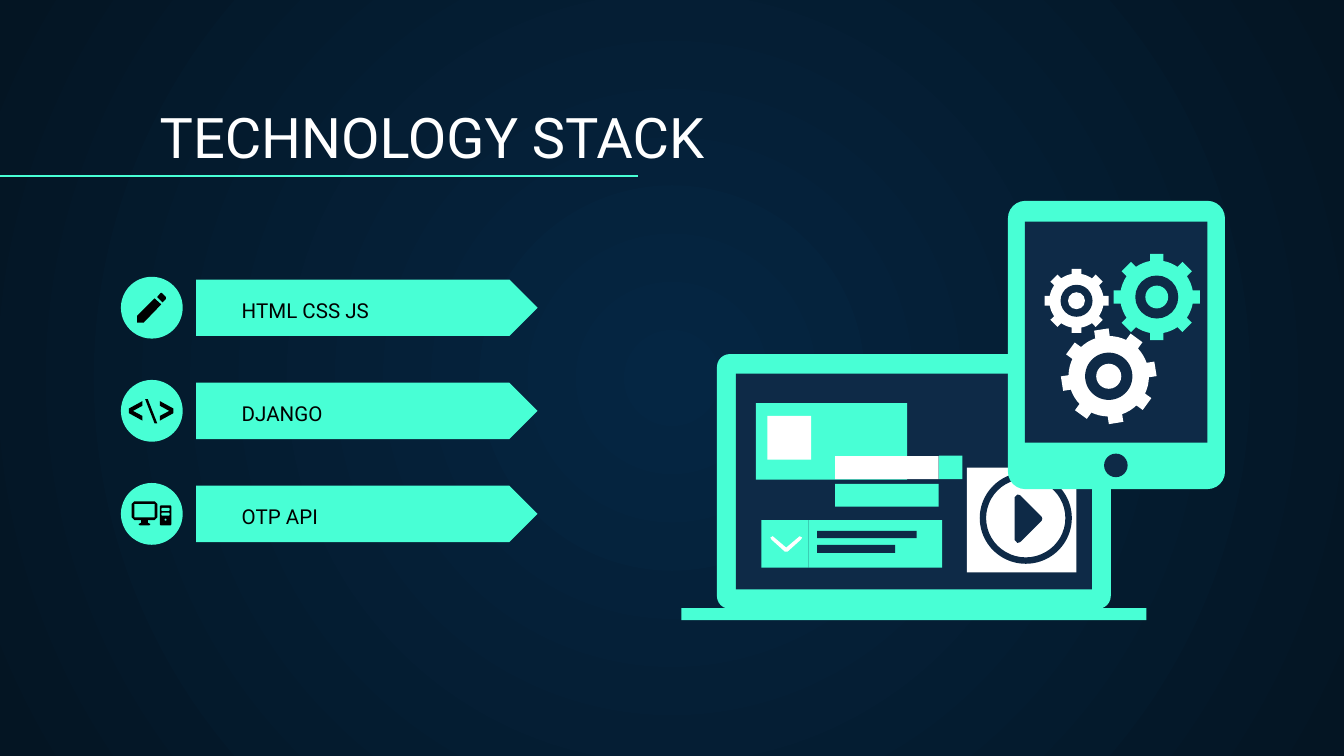
from dataclasses import dataclass
from math import cos, hypot, pi, radians, sin

from lxml import etree
from pptx import Presentation
from pptx.dml.color import RGBColor
from pptx.enum.shapes import MSO_CONNECTOR, MSO_SHAPE
from pptx.enum.text import MSO_ANCHOR
from pptx.oxml.ns import qn
from pptx.util import Inches, Pt

RECTANGLE = MSO_SHAPE.RECTANGLE
ROUNDED = MSO_SHAPE.ROUNDED_RECTANGLE
ELLIPSE = MSO_SHAPE.OVAL
RING = MSO_SHAPE.DONUT
ARROW_BAR = MSO_SHAPE.PENTAGON
STRAIGHT = MSO_CONNECTOR.STRAIGHT
BOTTOM = MSO_ANCHOR.BOTTOM


@dataclass(frozen=True)
class Theme:
    mint: RGBColor = RGBColor.from_string("48FFD5")
    navy: RGBColor = RGBColor.from_string("0E2A47")
    white: RGBColor = RGBColor.from_string("FFFFFF")
    black: RGBColor = RGBColor.from_string("000000")
    glow: RGBColor = RGBColor.from_string("052643")
    night: RGBColor = RGBColor.from_string("041523")
    font: str = "Roboto"
    title_size: Pt = Pt(30)
    label_size: Pt = Pt(11)
    rule: Pt = Pt(0.75)


theme = Theme()
deck = Presentation()
deck.slide_width, deck.slide_height = Inches(10), Inches(5.625)
page = deck.slides.add_slide(deck.slide_layouts[6])

# The page is a grid of 100 columns by 56.25 rows, with square cells.
COLUMN = deck.slide_width / 100
ROW = deck.slide_height / 56.25


def add_preset(kind, left, top, width, height, color, adjustment=None):
    shape = page.shapes.add_shape(kind, round(left * COLUMN), round(top * ROW),
                                  round(width * COLUMN), round(height * ROW))
    shape.shadow.inherit = False
    shape.fill.solid()
    shape.fill.fore_color.rgb = color
    shape.line.fill.background()
    if adjustment is not None:
        shape.adjustments[0] = adjustment
    return shape


def add_outline(contours, color):
    """Draw closed contours as one shape; a contour inside another is a hole."""
    scaled = [[(x * COLUMN, y * ROW) for x, y in contour] for contour in contours]
    builder = page.shapes.build_freeform(*scaled[0][0])
    for contour in scaled:
        builder.move_to(*contour[0])
        builder.add_line_segments(contour[1:], close=True)
    shape = builder.convert_to_shape()
    shape.shadow.inherit = False
    shape.fill.solid()
    shape.fill.fore_color.rgb = color
    shape.line.fill.background()


# Background glow
background = page.background.fill
background.gradient()
for stop, color in zip(background.gradient_stops, (theme.glow, theme.night)):
    stop.color.rgb = color
gradient = page._element.find(".//" + qn("a:gradFill"))
gradient.remove(gradient.find(qn("a:lin")))
glow_path = etree.SubElement(gradient, qn("a:path"), path="circle")
etree.SubElement(glow_path, qn("a:fillToRect"), l="50000", t="50000", r="50000", b="50000")

# Arrow bars and icon discs
FIRST_ROW, ROW_STEP = 20.6, 7.67
labels = ["HTML CSS JS", "DJANGO", "OTP API"]
for index in range(len(labels)):
    top = FIRST_ROW + index * ROW_STEP
    add_preset(ARROW_BAR, 14.6, top + 0.2, 25.4, 4.2, theme.mint, 0.5)
    add_preset(ELLIPSE, 9, top, 4.6, 4.6, theme.mint)

# Title and labels
texts = [("TECHNOLOGY STACK", 10.9, 7, 85.7, 6.6, theme.title_size, theme.white)]
texts += [(label, 17, FIRST_ROW + 2.2 + index * ROW_STEP, 22.7, 2.1,
           theme.label_size, theme.black) for index, label in enumerate(labels)]
for text, left, top, width, height, size, color in texts:
    box = page.shapes.add_textbox(round(left * COLUMN), round(top * ROW),
                                  round(width * COLUMN), round(height * ROW))
    frame = box.text_frame
    frame.word_wrap = True
    frame.vertical_anchor = BOTTOM
    frame.margin_left = frame.margin_right = Inches(0.1)
    frame.margin_top = frame.margin_bottom = Inches(0.1)
    span = frame.paragraphs[0].add_run()
    span.text = text
    span.font.name, span.font.size = theme.font, size
    span.font.color.rgb = color

title_rule = page.shapes.add_connector(STRAIGHT, 0, round(13.1 * ROW),
                                       round(47.5 * COLUMN), round(13.1 * ROW))
title_rule.line.color.rgb = theme.mint
title_rule.line.width = theme.rule
etree.SubElement(title_rule._element.spPr, qn("a:effectLst"))

# Icons: pencil, code, computer
pencil_tip = [(11.95, 21.8), (11.7, 22.1), (12.1, 22.5), (12.35, 22.25), (12.35, 22.1), (12.05, 21.8)]
pencil_body = [(11.5, 22.2), (10.2, 23.5), (10.2, 24), (10.7, 24), (12, 22.65)]
add_outline([pencil_tip, pencil_body], theme.black)

left_bracket = [(10.6, 31.3), (9.6, 30.75), (9.6, 30.4), (10.6, 29.85),
                (10.6, 30.2), (9.9, 30.58), (10.6, 30.95)]
right_bracket = [(22.5 - x, y) for x, y in left_bracket]
backslash = [(11.5, 31.5), (10.8, 29.7), (11, 29.7), (11.7, 31.5)]
for stroke in (left_bracket, backslash, right_bracket):
    add_outline([stroke], theme.black)

monitor = [(10, 37.3), (11.5, 37.3), (11.7, 37.5), (11.7, 38.5), (11.5, 38.7), (11, 38.7),
           (11, 38.9), (11.2, 39), (11.1, 39.1), (10.4, 39.1), (10.3, 39), (10.5, 38.9),
           (10.5, 38.7), (10, 38.7), (9.8, 38.5), (9.8, 37.5)]
screen = [(10, 37.5), (11.5, 37.5), (11.5, 38.5), (10, 38.5)]
add_outline([monitor, screen], theme.black)
add_preset(ROUNDED, 11.9, 37.6, 0.85, 1.5, theme.black, 0.12)
for top in (37.8, 38.15):
    add_preset(ROUNDED, 12.02, top, 0.6, 0.22, theme.mint, 0.3)
add_preset(ELLIPSE, 12.25, 38.6, 0.14, 0.14, theme.mint)

# Laptop
add_preset(ROUNDED, 53.35, 26.35, 29.3, 18.95, theme.mint, 0.05)
laptop_blocks = [
    (54.75, 27.8, 26.5, 16.05, theme.navy),   # display
    (50.7, 45.25, 34.6, 0.9, theme.mint),     # base
    (56.25, 30, 11.25, 5.7, theme.mint),      # card
    (57.1, 30.95, 3.25, 3.25, theme.white),   # card thumbnail
    (56.65, 38.7, 3.5, 3.55, theme.mint),     # drop-down button
    (60.15, 38.7, 9.95, 3.55, theme.mint),    # drop-down panel
    (60.8, 39.5, 7.4, 0.55, theme.navy),      # panel lines
    (60.8, 40.55, 5.8, 0.6, theme.navy),
    (62.15, 36, 7.7, 1.7, theme.mint),        # fields
    (62.15, 33.95, 7.7, 1.7, theme.white),
    (69.85, 33.9, 1.75, 1.75, theme.mint),    # field button
    (71.95, 34.8, 8.15, 7.8, theme.white),    # video tile
]
for left, top, width, height, color in laptop_blocks:
    add_preset(RECTANGLE, left, top, width, height, color)
add_outline([[(57.5, 39.9), (58.5, 40.75), (59.5, 39.9), (59.68, 40), (59.6, 40.15), (58.6, 41.05),
              (58.4, 41.05), (57.4, 40.15), (57.32, 40)]], theme.white)
add_preset(RING, 72.9, 35.15, 6.85, 6.8, theme.navy, 0.07)
add_outline([[(75.7, 36.8), (75.9, 36.85), (77.5, 38.45), (77.55, 38.6), (77.5, 38.75),
              (75.9, 40.35), (75.7, 40.4), (75.5, 40.2), (75.5, 37)]], theme.navy)

# Tablet
add_preset(ROUNDED, 75, 14.95, 16.15, 21.45, theme.mint, 0.08)
add_preset(RECTANGLE, 76.25, 16.5, 13.6, 16.45, theme.navy)
add_preset(ELLIPSE, 82.15, 33.75, 1.75, 1.75, theme.navy)

# Gears: every part is a share of the outer radius
TEETH, BODY, TOOTH_HALF, HOLE, HUB = 8, 0.85, 0.155, 0.5, 0.265
TOOTH_BASE = (BODY ** 2 - TOOTH_HALF ** 2) ** 0.5
tooth = [(TOOTH_BASE, -TOOTH_HALF), (1, -TOOTH_HALF), (1, TOOTH_HALF), (TOOTH_BASE, TOOTH_HALF)]
valley = [(BODY * cos(radians(angle)), BODY * sin(radians(angle))) for angle in (16, 22.5, 29)]
gears = [
    (86.07, 22.1, 3.2, 0, theme.mint),
    (80.1, 22.38, 2.38, 0, theme.white),
    (82.5, 28, 3.52, -9, theme.white),
]
for center_x, center_y, radius, tilt, color in gears:
    rim = []
    for index in range(TEETH):
        turn = 2 * pi * index / TEETH + radians(tilt)
        rim += [(center_x + radius * (x * cos(turn) - y * sin(turn)),
                 center_y + radius * (x * sin(turn) + y * cos(turn))) for x, y in tooth + valley]
    add_outline([rim], color)
    for share, disc_color in ((HOLE, theme.navy), (HUB, color)):
        reach = share * radius
        add_preset(ELLIPSE, center_x - reach, center_y - reach, 2 * reach, 2 * reach, disc_color)

deck.save("out.pptx")
